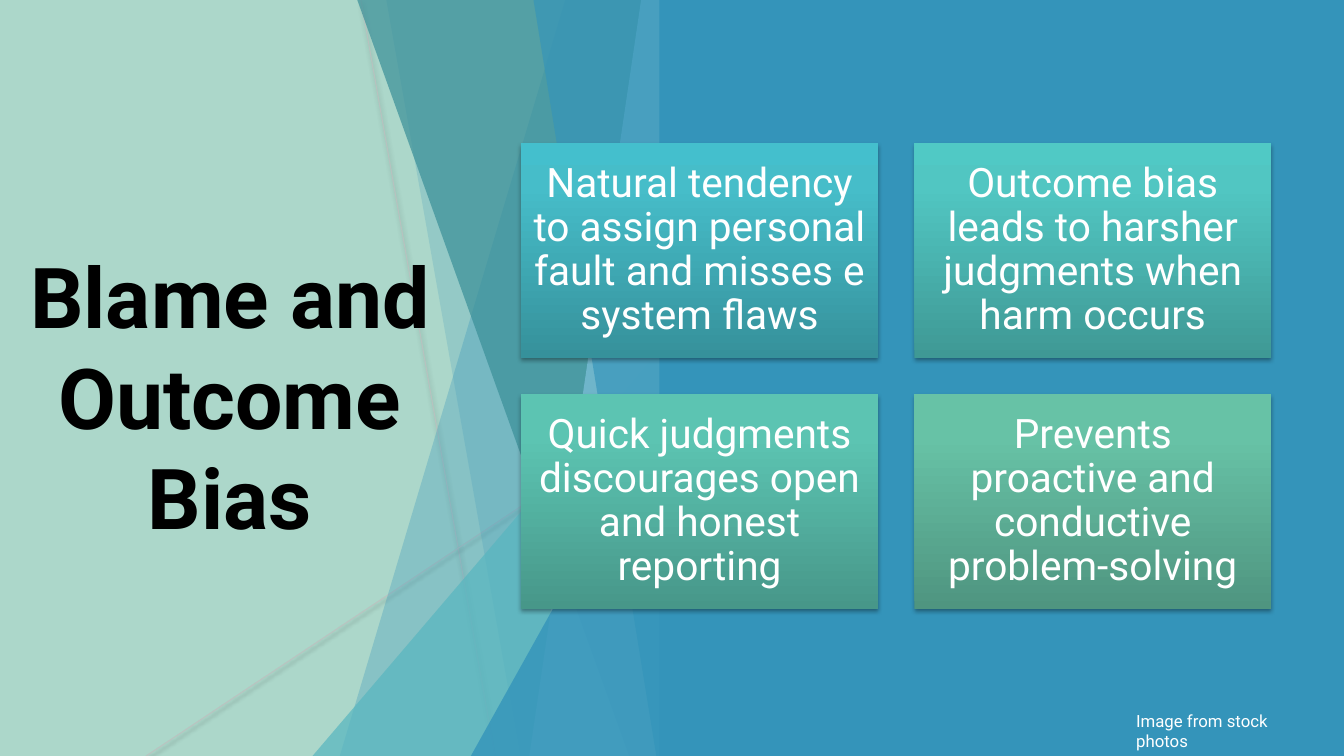
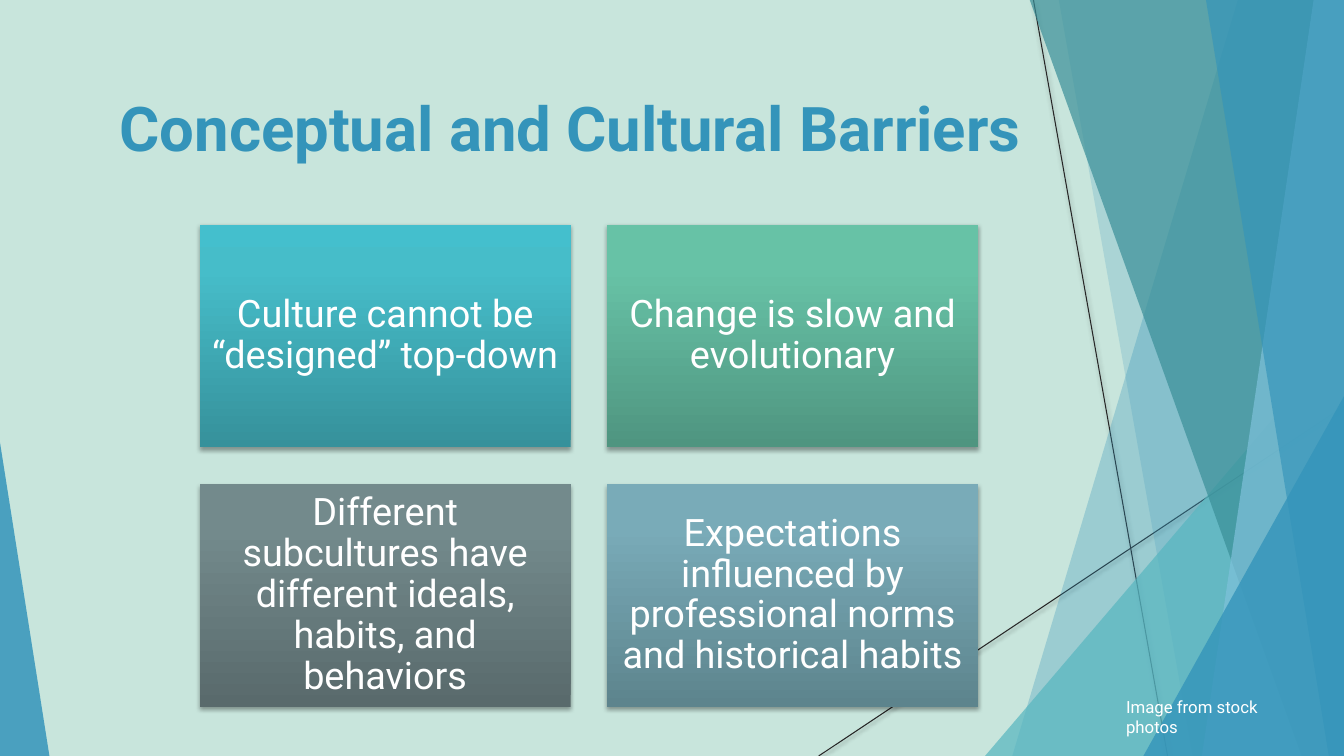
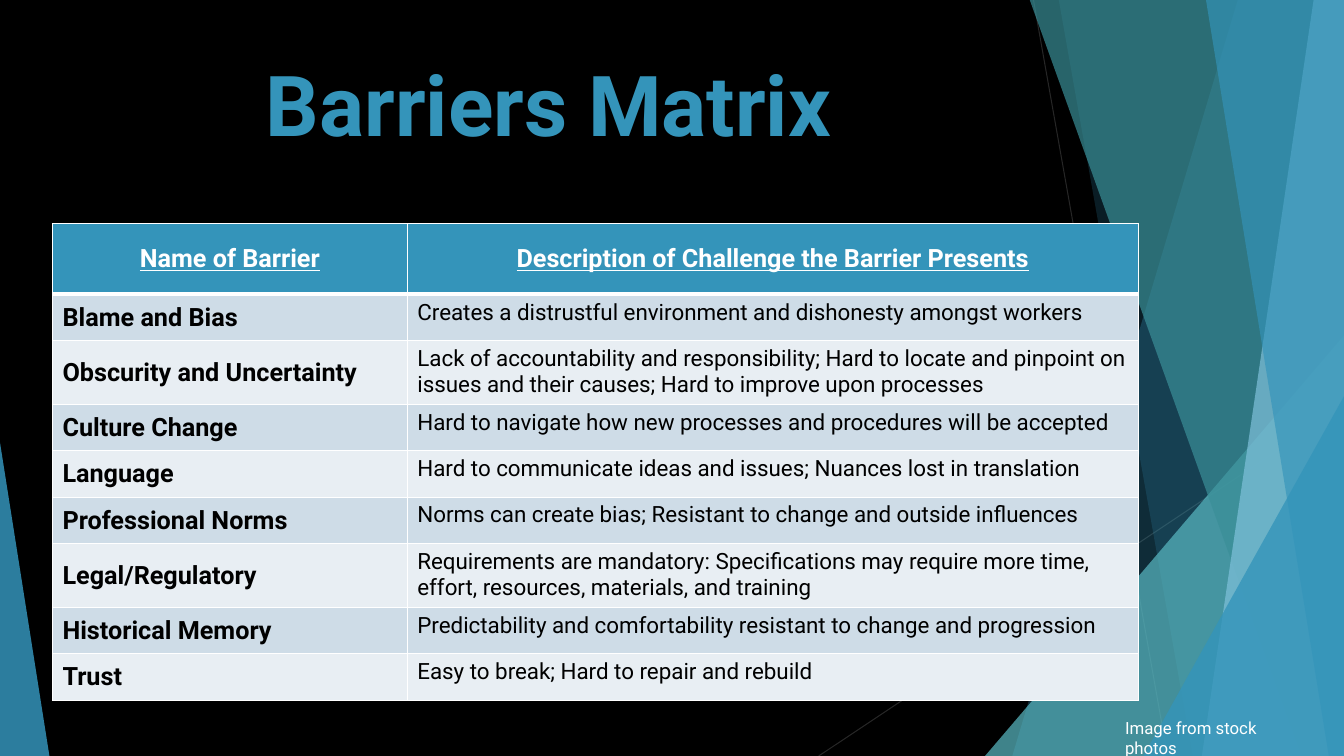
"""Build three slides on barriers to a just culture."""
from copy import deepcopy
from dataclasses import dataclass
from typing import Any

from lxml.etree import SubElement
from pptx import Presentation
from pptx.dml.color import RGBColor
from pptx.enum.shapes import MSO_CONNECTOR, MSO_SHAPE
from pptx.enum.text import MSO_ANCHOR, PP_ALIGN
from pptx.oxml.ns import qn
from pptx.slide import Slide
from pptx.util import Inches, Pt


@dataclass(frozen=True)
class Theme:
    font: str = "Roboto"
    blue: str = "3494BA"
    aqua: str = "58B6C0"
    teal: str = "3A8F98"
    sky: str = "7FC1DB"
    white: str = "FFFFFF"
    black: str = "000000"
    mint: str = "ACD7CA"
    pale: str = "C8E5DC"
    ink: str = "262626"
    silver: str = "BFBFBF"
    bands: tuple[str, str] = ("CEDCE7", "E8EEF3")
    large: int = 60
    medium: int = 44
    head: int = 18
    body: int = 16
    small: int = 12


@dataclass(frozen=True)
class Box:
    left: float
    top: float
    width: float
    height: float

    def place(self) -> tuple[int, ...]:
        return tuple(Inches(n) for n in (self.left, self.top, self.width, self.height))


@dataclass(frozen=True)
class Sheet:
    top: float
    foot: float
    color: str
    alpha: int


@dataclass(frozen=True)
class Peak:
    box: Box
    tip: int
    color: str
    alpha: int


@dataclass(frozen=True)
class Ray:
    start: tuple[float, float]
    end: tuple[float, float]


@dataclass(frozen=True)
class Card:
    text: str
    tones: tuple[str, str, str]


@dataclass(frozen=True)
class Grid:
    first: Box
    inset: float
    size: int


THEME = Theme()
WIDTH, HEIGHT = 13.33, 7.5
GAP = 0.36
SHIFT = -6.67
CREDIT = "Image from stock photos"
CYAN = ("36919B", "46BDC9", "44BFCD")
GREEN = ("4F9580", "67C2A6", "66C4A7")

RAYS = (Ray((10.25, 0), (11.58, HEIGHT)), Ray((WIDTH, 4.03), (8.12, HEIGHT)))
FACETS = (
    Sheet(12.28, 10.04, THEME.blue, 30),
    Sheet(10.5, 11.83, THEME.blue, 20),
    Peak(Box(9.77, 3.33, 3.56, 4.17), 1, THEME.aqua, 72),
    Sheet(10.21, 12.91, THEME.teal, 70),
    Sheet(13.03, 11.92, THEME.sky, 70),
    Sheet(11.96, 13.18, THEME.blue, 65),
    Peak(Box(11.34, 3.93, 1.99, 3.57), 1, THEME.blue, 80),
)
CORNER = Peak(Box(0, 4.39, 0.49, 3.11), 0, THEME.blue, 85)

BLAME = (
    Card("Natural tendency to assign personal fault and misses e system flaws", CYAN),
    Card("Outcome bias leads to harsher judgments when harm occurs",
         ("3F9995", "51C6C2", "50C9C5")),
    Card("Quick judgments discourages open and honest reporting",
         ("479789", "5CC4B2", "5BC7B4")),
    Card("Prevents proactive and conductive problem-solving", GREEN),
)
CULTURE = (
    Card("Culture cannot be “designed” top‑down", CYAN),
    Card("Change is slow and evolutionary", GREEN),
    Card("Different subcultures have different ideals, habits, and behaviors",
         ("596A6C", "738A8C", "738B8E")),
    Card("Expectations influenced by professional norms and historical habits",
         ("5D848D", "79ABB8", "78ADBA")),
)
MATRIX = (
    ("Name of Barrier", "Description of Challenge the Barrier Presents"),
    ("Blame and Bias", "Creates a distrustful environment and dishonesty amongst workers"),
    ("Obscurity and Uncertainty",
     "Lack of accountability and responsibility; Hard to locate and pinpoint on issues "
     "and their causes; Hard to improve upon processes"),
    ("Culture Change", "Hard to navigate how new processes and procedures will be accepted"),
    ("Language", "Hard to communicate ideas and issues; Nuances lost in translation"),
    ("Professional Norms", "Norms can create bias; Resistant to change and outside influences"),
    ("Legal/Regulatory",
     "Requirements are mandatory: Specifications may require more time, effort, "
     "resources, materials, and training"),
    ("Historical Memory",
     "Predictability and comfortability resistant to change and progression"),
    ("Trust", "Easy to break; Hard to repair and rebuild"),
)


def tint(color: str) -> RGBColor:
    return RGBColor.from_string(color)


def fade(shape: Any, alpha: int) -> None:
    for node in shape.element.spPr.iter(qn("a:srgbClr")):
        SubElement(node, qn("a:alpha"), val=str(alpha * 1000))


def shade(shape: Any, drop: float, alpha: int) -> None:
    effect = SubElement(shape.element.spPr, qn("a:effectLst"))
    outer = SubElement(effect, qn("a:outerShdw"), blurRad=str(Pt(3.1)),
                       dist=str(Pt(drop)), dir="5400000", rotWithShape="0")
    black = SubElement(outer, qn("a:srgbClr"), val=THEME.black)
    SubElement(black, qn("a:alpha"), val=str(alpha * 1000))


def paint(shape: Any, color: str, alpha: int = 100) -> None:
    shape.shadow.inherit = False
    shape.fill.solid()
    shape.fill.fore_color.rgb = tint(color)
    shape.line.fill.background()
    if alpha < 100:
        fade(shape, alpha)


def write(frame: Any, text: str, size: int, color: str, bold: bool = False,
          align: PP_ALIGN = PP_ALIGN.LEFT) -> Any:
    frame.text = text
    part = frame.paragraphs[0]
    part.alignment = align
    part.font.name = THEME.font
    part.font.size = Pt(size)
    part.font.bold = bold
    part.font.color.rgb = tint(color)
    return part


def label(slide: Slide, box: Box, text: str, size: int, color: str) -> None:
    frame = slide.shapes.add_textbox(*box.place()).text_frame
    frame.word_wrap = True
    frame.vertical_anchor = MSO_ANCHOR.MIDDLE
    write(frame, text, size, color, True, PP_ALIGN.CENTER)


def credit(slide: Slide, left: float, top: float) -> None:
    frame = slide.shapes.add_textbox(*Box(left, top, 2, 0.5).place()).text_frame
    frame.word_wrap = True
    write(frame, CREDIT, THEME.small, THEME.white)


def draw_ray(slide: Slide, ray: Ray, shift: float, color: str, alpha: int) -> None:
    (left, top), (right, foot) = ray.start, ray.end
    line = slide.shapes.add_connector(MSO_CONNECTOR.STRAIGHT, Inches(left + shift), Inches(top),
                                      Inches(right + shift), Inches(foot))
    line.line.color.rgb = tint(color)
    line.line.width = Pt(0.75)
    fade(line, alpha)
    shade(line, 1.6, 38)


def draw_sheet(slide: Slide, sheet: Sheet, shift: float) -> None:
    spots = ((sheet.top, -0.01), (WIDTH, -0.01), (WIDTH, HEIGHT), (sheet.foot, HEIGHT))
    start, *rest = [(Inches(x + shift), Inches(y)) for x, y in spots]
    form = slide.shapes.build_freeform(*start)
    form.add_line_segments(rest, close=True)
    paint(form.convert_to_shape(), sheet.color, sheet.alpha)


def draw_peak(slide: Slide, peak: Peak, shift: float = 0) -> None:
    left, *rest = peak.box.place()
    shape = slide.shapes.add_shape(MSO_SHAPE.ISOSCELES_TRIANGLE, left + Inches(shift), *rest)
    shape.adjustments[0] = peak.tip
    paint(shape, peak.color, peak.alpha)


def fan(slide: Slide, shift: float = 0, color: str = THEME.ink,
        alphas: tuple[int, int] = (100, 100)) -> None:
    for ray, alpha in zip(RAYS, alphas):
        draw_ray(slide, ray, shift, color, alpha)
    for facet in FACETS:
        draw = draw_peak if isinstance(facet, Peak) else draw_sheet
        draw(slide, facet, shift)


def draw_card(slide: Slide, card: Card, box: Box, grid: Grid) -> None:
    shape = slide.shapes.add_shape(MSO_SHAPE.RECTANGLE, *box.place())
    shape.line.fill.background()
    shape.fill.gradient()
    shape.fill.gradient_angle = 90
    stops = shape.element.spPr.find(".//" + qn("a:gsLst"))
    stops.append(deepcopy(stops[0]))
    for stop, spot, tone in zip(shape.fill.gradient_stops, (0, 0.8, 1), card.tones):
        stop.position = spot
        stop.color.rgb = tint(tone)
    shade(shape, 1.8, 35)
    frame = shape.text_frame
    frame.word_wrap = True
    frame.vertical_anchor = MSO_ANCHOR.MIDDLE
    frame.margin_left = frame.margin_right = Inches(grid.inset)
    frame.margin_top = frame.margin_bottom = Inches(grid.inset)
    part = write(frame, card.text, grid.size, THEME.white, align=PP_ALIGN.CENTER)
    part.line_spacing = 0.9


def draw_grid(slide: Slide, cards: tuple[Card, ...], grid: Grid) -> None:
    first = grid.first
    for spot, card in enumerate(cards):
        row, col = divmod(spot, 2)
        box = Box(first.left + col * (first.width + GAP),
                  first.top + row * (first.height + GAP), first.width, first.height)
        draw_card(slide, card, box, grid)


def rule(cell: Any, row: int) -> None:
    heavy = {(0, "B"), (1, "T")}
    for side in "LRTB":
        width = Pt(3 if (row, side) in heavy else 1)
        line = SubElement(cell._tc.get_or_add_tcPr(), qn(f"a:ln{side}"), w=str(width))
        fill = SubElement(line, qn("a:solidFill"))
        SubElement(fill, qn("a:srgbClr"), val=THEME.white)


def draw_table(slide: Slide, box: Box) -> None:
    table = slide.shapes.add_table(len(MATRIX), 2, *box.place()).table
    for col, width in zip(table.columns, (3.52, 7.25)):
        col.width = Inches(width)
    for row, texts in enumerate(MATRIX):
        head = row == 0
        table.rows[row].height = Inches(0.7 if head else 0.46)
        for col, text in enumerate(texts):
            cell = table.cell(row, col)
            strong = head or col == 0
            rule(cell, row)
            cell.fill.solid()
            cell.fill.fore_color.rgb = tint(THEME.blue if head else THEME.bands[(row - 1) % 2])
            cell.vertical_anchor = MSO_ANCHOR.MIDDLE if strong else MSO_ANCHOR.TOP
            part = write(cell.text_frame, text, THEME.head if strong else THEME.body,
                         THEME.white if head else THEME.black, strong,
                         PP_ALIGN.CENTER if head else PP_ALIGN.LEFT)
            part.font.underline = head


def start(deck: Any, color: str) -> Slide:
    slide = deck.slides.add_slide(deck.slide_layouts[6])
    slide.background.fill.solid()
    slide.background.fill.fore_color.rgb = tint(color)
    return slide


def blame(deck: Any) -> None:
    slide = start(deck, THEME.mint)
    fan(slide, SHIFT, THEME.silver, (75, 80))
    panel = slide.shapes.add_shape(MSO_SHAPE.RECTANGLE, *Box(6.54, 0, 6.79, HEIGHT).place())
    paint(panel, THEME.blue)
    draw_grid(slide, BLAME, Grid(Box(5.17, 1.42, 3.54, 2.13), 0.12, 29))
    credit(slide, 11.17, 7)
    label(slide, Box(0.05, 2.36, 4.46, 3.13), "Blame and Outcome Bias", THEME.large, THEME.black)


def culture(deck: Any) -> None:
    slide = start(deck, THEME.pale)
    fan(slide)
    draw_peak(slide, CORNER)
    label(slide, Box(0.21, 0.63, 10.9, 1.25), "Conceptual and Cultural Barriers",
          THEME.medium, THEME.blue)
    draw_grid(slide, CULTURE, Grid(Box(1.98, 2.23, 3.68, 2.21), 0.11, 27))
    credit(slide, 11.07, 6.86)


def matrix(deck: Any) -> None:
    slide = start(deck, THEME.black)
    fan(slide)
    draw_peak(slide, CORNER)
    label(slide, Box(0.74, 0.54, 9.4, 0.96), "Barriers Matrix", THEME.large, THEME.blue)
    draw_table(slide, Box(0.52, 2.22, 10.77, 4.38))
    credit(slide, 11.06, 7.07)


def main() -> None:
    deck = Presentation()
    deck.slide_width, deck.slide_height = Inches(WIDTH), Inches(HEIGHT)
    for build in (blame, culture, matrix):
        build(deck)
    deck.save("out.pptx")


if __name__ == "__main__":
    main()
